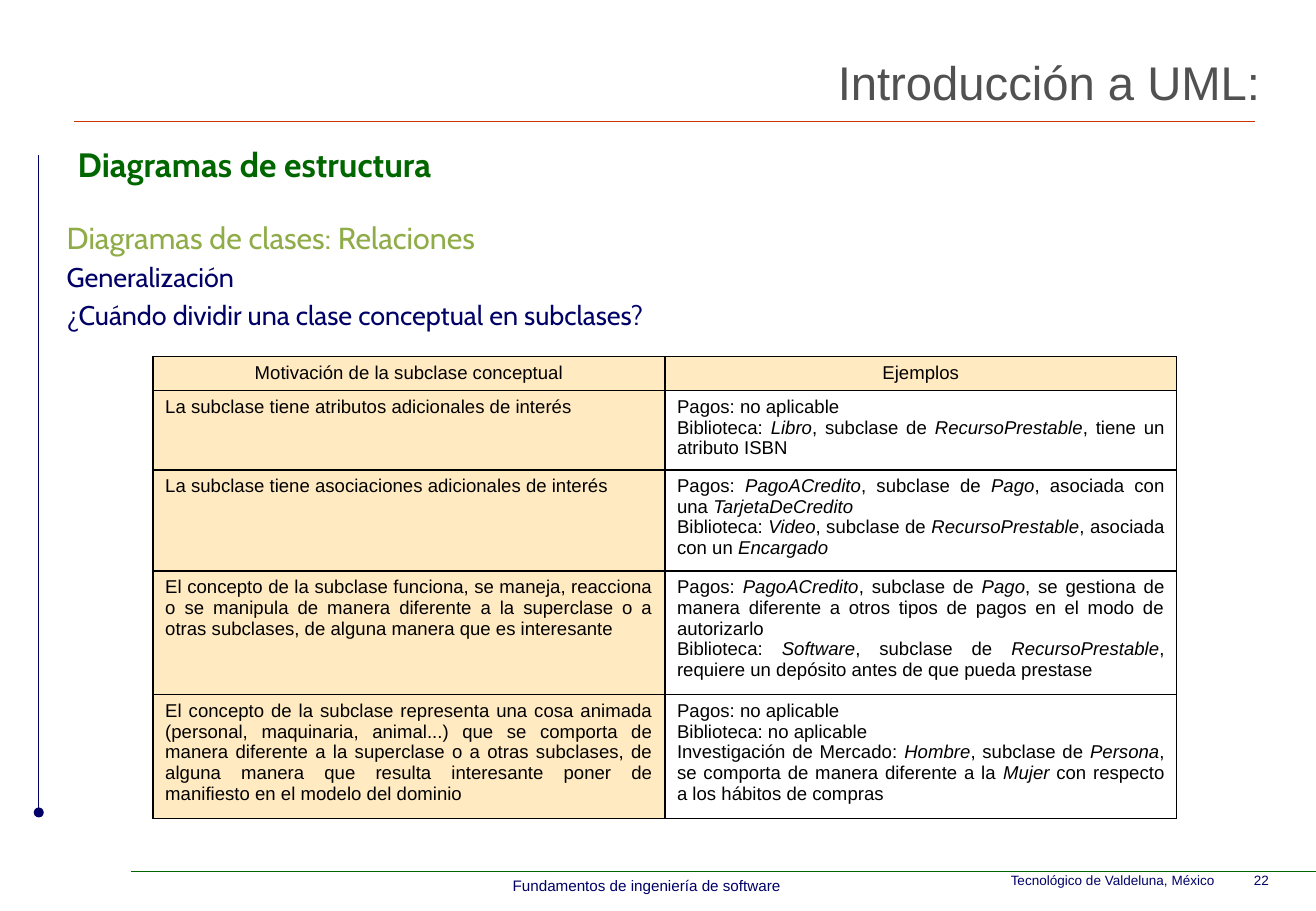
from dataclasses import dataclass

from lxml import etree
from pptx import Presentation
from pptx import util as u
from pptx.dml import color
from pptx.enum import shapes, text
from pptx.oxml import ns

COLORS = {
    "navy": "000066", "green": "006600", "olive": "90AC48", "grey": "515151",
    "red": "CC3300", "cream": "FFEAC1", "black": "000000",
}
ALIGN = text.PP_ALIGN
ANCHOR = text.MSO_ANCHOR


@dataclass(frozen=True)
class Style:
    size: float
    color: str
    font: str = "Arial"
    bold: bool = False
    align: ALIGN = ALIGN.LEFT
    before: float = 0


@dataclass(frozen=True)
class Rule:
    start: tuple[float, float]
    end: tuple[float, float]
    color: str
    width: float
    tail: str = ""


@dataclass(frozen=True)
class Label:
    box: tuple[float, float, float, float]
    wording: str
    style: Style
    anchor: ANCHOR = ANCHOR.TOP
    wrap: bool = True


RULES = [
    Rule((1.55, 2.54), (26.24, 2.54), "red", 0.5),
    Rule((2.74, 18.21), (27.51, 18.21), "green", 0.25),
    Rule((0.81, 3.25), (0.81, 16.99), "navy", 0.75, "oval"),
]
LABELS = [
    Label((20.88, 18.11, 6.5, 0.61), "Tecnológico de Valdeluna, México\t22",
          Style(8, "navy")),
    Label((10.44, 18.21, 6.15, 0.64), "Fundamentos de ingeniería de software",
          Style(9, "navy", align=ALIGN.CENTER), wrap=False),
    Label((3.2, 0.43, 23.39, 2.54), "Introducción a UML:",
          Style(28, "grey", align=ALIGN.RIGHT), ANCHOR.MIDDLE),
]
TOPICS = [
    ("Diagramas de clases: Relaciones",
     Style(18, "olive", "Cabin", align=ALIGN.JUSTIFY)),
    ("Generalización",
     Style(16, "navy", "Cabin", align=ALIGN.JUSTIFY, before=3.2)),
    ("¿Cuándo dividir una clase conceptual en subclases?",
     Style(16, "navy", "Cabin", align=ALIGN.JUSTIFY, before=3.2)),
]

# Asterisks enclose the words in italics
ROW_HEIGHTS = [0.68, 1.55, 1.98, 2.4, 2.42]
MOTIVATIONS = [
    (["Motivación de la subclase conceptual"], ["Ejemplos"]),
    (["La subclase tiene atributos adicionales de interés"],
     ["Pagos: no aplicable",
      "Biblioteca: *Libro*, subclase de *RecursoPrestable*, tiene un atributo ISBN"]),
    (["La subclase tiene asociaciones adicionales de interés"],
     ["Pagos: *PagoACredito*, subclase de *Pago*, asociada con una *TarjetaDeCredito*",
      "Biblioteca: *Video*, subclase de *RecursoPrestable*, asociada con un *Encargado*"]),
    (["El concepto de la subclase funciona, se maneja, reacciona o se manipula de manera "
      "diferente a la superclase o a otras subclases, de alguna manera que es interesante"],
     ["Pagos: *PagoACredito*, subclase de *Pago*, se gestiona de manera diferente a otros "
      "tipos de pagos en el modo de autorizarlo",
      "Biblioteca: *Software*, subclase de *RecursoPrestable*, requiere un depósito antes "
      "de que pueda prestase"]),
    (["El concepto de la subclase representa una cosa animada (personal, maquinaria, "
      "animal...) que se comporta de manera diferente a la superclase o a otras subclases, "
      "de alguna manera que resulta interesante poner de manifiesto en el modelo del dominio"],
     ["Pagos: no aplicable", "Biblioteca: no aplicable",
      "Investigación de Mercado: *Hombre*, subclase de *Persona*, se comporta de manera "
      "diferente a la *Mujer* con respecto a los hábitos de compras"]),
]


def rgb(name: str) -> color.RGBColor:
    return color.RGBColor.from_string(COLORS[name])


def write(frame, paragraphs: list[tuple[str, Style]]) -> None:
    for index, (wording, style) in enumerate(paragraphs):
        paragraph = frame.paragraphs[0] if index == 0 else frame.add_paragraph()
        paragraph.alignment = style.align
        paragraph.space_before = u.Pt(style.before)
        for part, piece in enumerate(wording.split("*")):
            if not piece:
                continue
            run = paragraph.add_run()
            run.text = piece
            run.font.name = style.font
            run.font.size = u.Pt(style.size)
            run.font.bold = style.bold
            run.font.italic = part % 2 == 1
            run.font.color.rgb = rgb(style.color)


def place(shape, left: float, top: float, width: float, height: float) -> None:
    shape.left, shape.top = u.Cm(left), u.Cm(top)
    shape.width, shape.height = u.Cm(width), u.Cm(height)
    shape.text_frame.auto_size = text.MSO_AUTO_SIZE.NONE


def draw_rule(slide, rule: Rule) -> None:
    ends = [u.Cm(value) for value in (*rule.start, *rule.end)]
    line = slide.shapes.add_connector(shapes.MSO_CONNECTOR.STRAIGHT, *ends)
    line.line.color.rgb = rgb(rule.color)
    line.line.width = u.Pt(rule.width)
    if rule.tail:
        etree.SubElement(line.line._get_or_add_ln(), ns.qn("a:tailEnd"), type=rule.tail)
    etree.SubElement(line._element.spPr, ns.qn("a:effectLst"))


def draw_label(slide, label: Label) -> None:
    box = slide.shapes.add_textbox(*[u.Cm(value) for value in label.box])
    box.text_frame.word_wrap = label.wrap
    box.text_frame.vertical_anchor = label.anchor
    write(box.text_frame, [(label.wording, label.style)])


def add_borders(cell) -> None:
    properties = cell._tc.get_or_add_tcPr()
    for index, side in enumerate(("lnL", "lnR", "lnT", "lnB")):
        border = etree.Element(ns.qn(f"a:{side}"), w=str(u.Pt(1)))
        fill = etree.SubElement(border, ns.qn("a:solidFill"))
        etree.SubElement(fill, ns.qn("a:srgbClr"), val=COLORS["black"])
        properties.insert(index, border)


def draw_motivations(slide) -> None:
    frame = slide.shapes.add_table(len(MOTIVATIONS), 2, u.Cm(3.2), u.Cm(7.45),
                                   u.Cm(21.4), u.Cm(sum(ROW_HEIGHTS)))
    table = frame.table
    table.first_row = table.horz_banding = False
    for row, (height, contents) in enumerate(zip(ROW_HEIGHTS, MOTIVATIONS)):
        table.rows[row].height = u.Cm(height)
        style = Style(11, "black", align=ALIGN.JUSTIFY if row else ALIGN.CENTER)
        for column, lines in enumerate(contents):
            cell = table.cell(row, column)
            if row == 0 or column == 0:
                cell.fill.solid()
                cell.fill.fore_color.rgb = rgb("cream")
            else:
                cell.fill.background()
            add_borders(cell)
            write(cell.text_frame, [(line, style) for line in lines])


def main() -> None:
    deck = Presentation()
    deck.slide_width, deck.slide_height = u.Cm(27.51), u.Cm(19.05)
    slide = deck.slides.add_slide(deck.slide_layouts[1])

    # Rules and labels of the page
    for rule in RULES:
        draw_rule(slide, rule)
    for label in LABELS:
        draw_label(slide, label)

    # Section heading
    heading = slide.shapes.title
    place(heading, 1.37, 0.76, 9.86, 3.23)
    heading.text_frame.vertical_anchor = ANCHOR.BOTTOM
    write(heading.text_frame,
          [("Diagramas de estructura", Style(20, "green", "Cabin", bold=True))])

    # Topics, without bullets
    topics = slide.placeholders[1]
    place(topics, 1.14, 4.45, 24.77, 12.26)
    write(topics.text_frame, TOPICS)
    for paragraph in topics.text_frame.paragraphs:
        properties = paragraph._p.get_or_add_pPr()
        properties.set("marL", "0")
        properties.set("indent", "0")
        etree.SubElement(properties, ns.qn("a:buNone"))

    # Reasons for subclasses
    draw_motivations(slide)
    deck.save("out.pptx")


if __name__ == "__main__":
    main()
